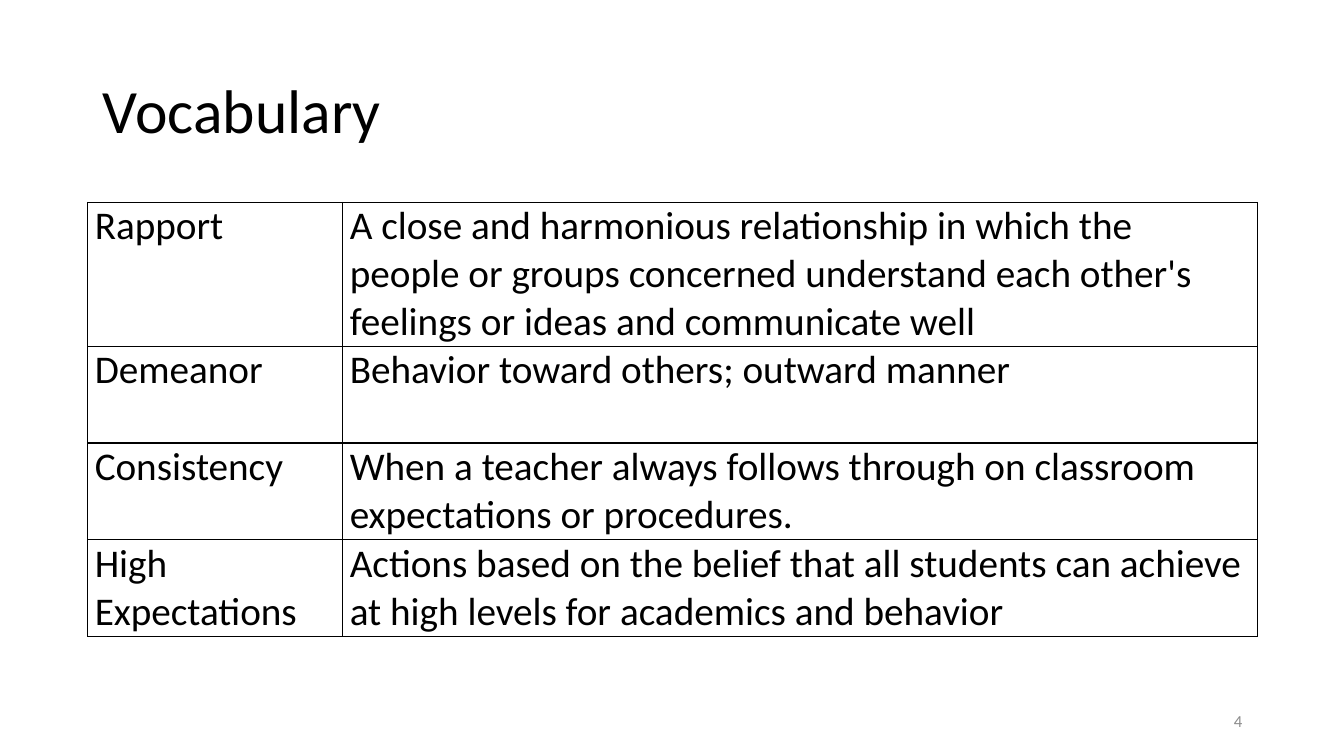
from dataclasses import dataclass

from pptx import Presentation
from pptx.dml.color import RGBColor
from pptx.enum.text import MSO_ANCHOR as Anchor, PP_ALIGN as Align
from pptx.oxml import parse_xml
from pptx.oxml.ns import nsdecls
from pptx.util import Inches, Pt


@dataclass(frozen=True)
class Theme:
    font: str = "Calibri"
    ink: str = "000000"
    muted: str = "8C8C8C"
    title_size: int = 44
    table_size: int = 28
    number_size: int = 12
    border_width: int = 1


theme = Theme()


def write(frame, text, size, color=theme.ink, align=Align.LEFT,
          anchor=Anchor.MIDDLE, line_spacing=None):
    frame.word_wrap = True
    frame.vertical_anchor = anchor
    paragraph = frame.paragraphs[0]
    paragraph.alignment = align
    paragraph.line_spacing = line_spacing
    run = paragraph.add_run()
    run.text = text
    run.font.name = theme.font
    run.font.size = Pt(size)
    run.font.color.rgb = RGBColor.from_string(color)


def add_borders(cell):
    properties = cell._tc.get_or_add_tcPr()
    for position, side in enumerate(("lnL", "lnR", "lnT", "lnB")):
        properties.insert(position, parse_xml(
            f'<a:{side} {nsdecls("a")} w="{Pt(theme.border_width)}"><a:solidFill>'
            f'<a:srgbClr val="{theme.ink}"/></a:solidFill></a:{side}>'))


presentation = Presentation()
presentation.slide_width = Inches(13.33)
presentation.slide_height = Inches(7.5)
slide = presentation.slides.add_slide(presentation.slide_layouts[5])

# Title
title = slide.shapes.title
title.left, title.top = Inches(0.92), Inches(0.4)
title.width, title.height = Inches(11.5), Inches(1.45)
write(title.text_frame, "Vocabulary", theme.title_size, line_spacing=0.9)

# Vocabulary table
vocabulary = [
    ("Rapport", "A close and harmonious relationship in which the people or groups "
                "concerned understand each other's feelings or ideas and communicate well"),
    ("Demeanor", "Behavior toward others; outward manner"),
    ("Consistency", "When a teacher always follows through on classroom "
                    "expectations or procedures."),
    ("High Expectations", "Actions based on the belief that all students can achieve "
                          "at high levels for academics and behavior"),
]
column_widths = (2.53, 9.07)
row_heights = (1.42, 0.96, 0.96, 0.96)
table = slide.shapes.add_table(
    len(vocabulary), len(column_widths), Inches(0.87), Inches(2.01),
    Inches(sum(column_widths)), Inches(sum(row_heights))).table
table.first_row = False
table.horz_banding = False
for column, width in zip(table.columns, column_widths):
    column.width = Inches(width)
for row, height, entry in zip(table.rows, row_heights, vocabulary):
    row.height = Inches(height)
    for cell, text in zip(row.cells, entry):
        cell.margin_left = cell.margin_right = Inches(0.07)
        cell.margin_top = cell.margin_bottom = 0
        cell.fill.background()
        add_borders(cell)
        write(cell.text_frame, text, theme.table_size, anchor=Anchor.TOP)

# Slide number
number = slide.shapes.add_textbox(Inches(9.42), Inches(6.95), Inches(3), Inches(0.4))
write(number.text_frame, "4", theme.number_size, color=theme.muted, align=Align.RIGHT)

presentation.save("out.pptx")
